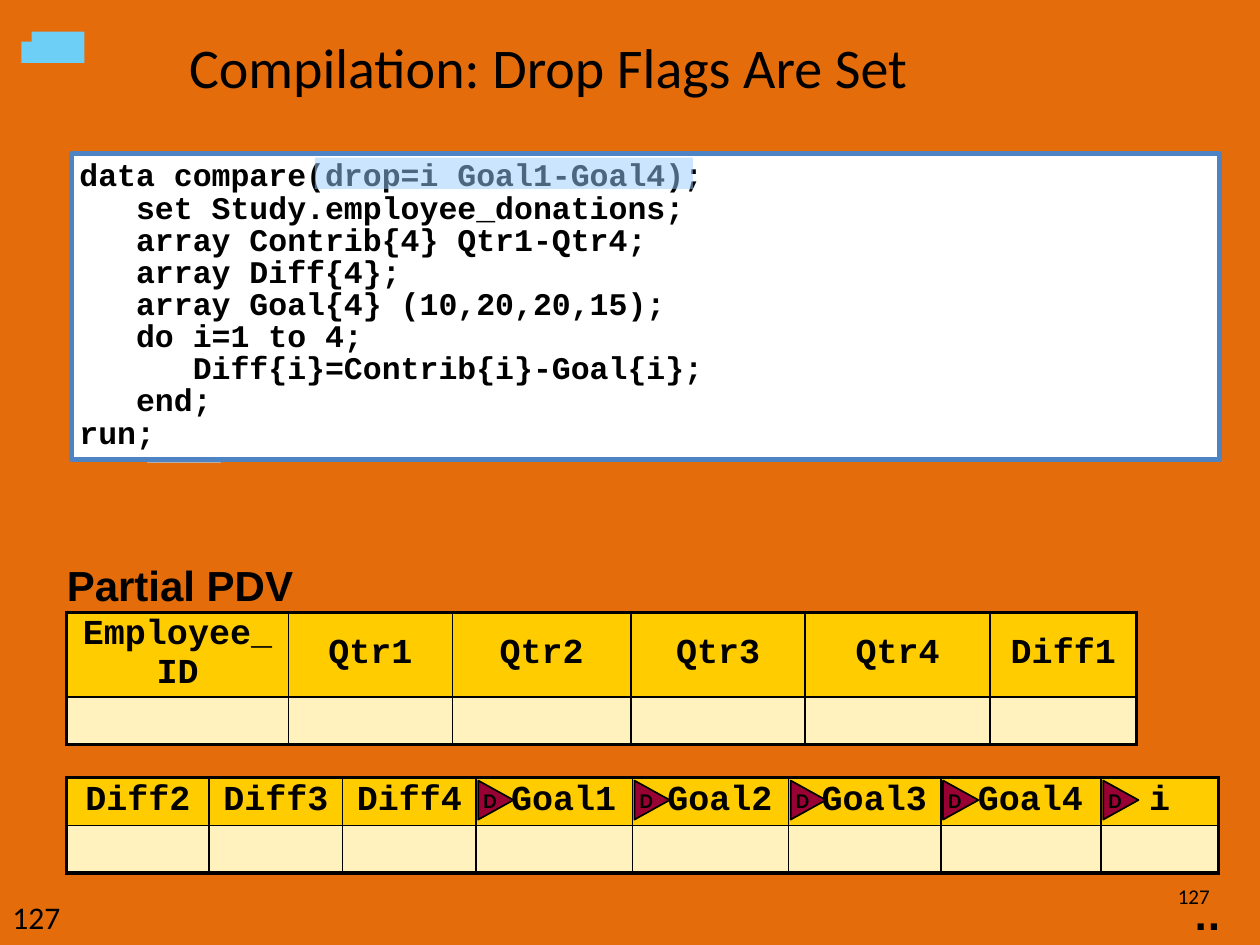
from itertools import accumulate

from lxml.etree import SubElement
from pptx import Presentation
from pptx.dml.color import RGBColor
from pptx.enum.shapes import MSO_SHAPE as Shape
from pptx.enum.text import MSO_ANCHOR as Anchor, PP_ALIGN as Align
from pptx.oxml import parse_xml
from pptx.oxml.ns import nsdecls, qn
from pptx.util import Inches, Pt

rgb = RGBColor.from_string
BLACK, SKY, HEADER, BODY = "000000", "6DCFF6", "FFCC00", "FFF2BE"
THIN, THICK = 1, 2.25

deck = Presentation()
deck.slide_width, deck.slide_height = Inches(10), Inches(7.5)
slide = deck.slides.add_slide(deck.slide_layouts[6])
slide.background.fill.solid()
slide.background.fill.fore_color.rgb = rgb("E46C0A")

# The slide is a grid of 100 columns by 75 rows of square units
UNIT = deck.slide_width / 100


def block(kind, box, fill, line=None, weight=1):
    shape = slide.shapes.add_shape(kind, *(round(n * UNIT) for n in box))
    shape.shadow.inherit = False
    shape.fill.solid()
    shape.fill.fore_color.rgb = rgb(fill)
    if line:
        shape.line.color.rgb = rgb(line)
        shape.line.width = Pt(weight)
    else:
        shape.line.fill.background()
    return shape


def write(frame, lines, font, size, bold=False, align=Align.LEFT, spacing=None):
    for number, line in enumerate(lines):
        paragraph = frame.add_paragraph() if number else frame.paragraphs[0]
        paragraph.alignment = align
        if spacing:
            paragraph.line_spacing = spacing
        run = paragraph.add_run()
        run.text = line
        look = {"name": font, "size": Pt(size), "bold": bold}
        for key, value in look.items():
            setattr(run.font, key, value)
        run.font.color.rgb = rgb(BLACK)


# Corner decoration and the tab that shows under the code panel
for box in [(2.5, 2.5, 4.2, 2.5), (1.7, 3.3, 1.7, 1.7)]:
    block(Shape.RECTANGLE, box, SKY)
block(Shape.RECTANGLE, (11.7, 32.5, 5.8, 4.2), SKY, "B9AFA4")

# Title, page numbers and continuation dots
labels = [
    ((15, 2.5, 92.5, 7.5), "Compilation: Drop Flags Are Set", "Calibri", 32,
     {"margin_left": 0, "margin_right": 0, "margin_top": 0, "margin_bottom": 0},
     {"spacing": Pt(39)}),
    ((89.7, 69.2, 7.3, 3.9), "127", "Calibri", 12,
     {"vertical_anchor": Anchor.MIDDLE}, {"align": Align.RIGHT}),
    ((0, 70.8, 5.8, 4.2), "127", "Calibri", 18, {}, {}),
    ((93.8, 70.6, 5, 4.3), "...", "DejaVu Sans", 20,
     {"word_wrap": False}, {"bold": True}),
]
for box, words, font, size, layout, look in labels:
    frame = slide.shapes.add_textbox(*(round(n * UNIT) for n in box)).text_frame
    for key, value in {"word_wrap": True, **layout}.items():
        setattr(frame, key, value)
    write(frame, [words], font, size, **look)

# Code panel
code = """data compare(drop=i Goal1-Goal4);
   set Study.employee_donations;
   array Contrib{4} Qtr1-Qtr4;
   array Diff{4};
   array Goal{4} (10,20,20,15);
   do i=1 to 4;
      Diff{i}=Contrib{i}-Goal{i};
   end;
run;"""
panel = block(Shape.RECTANGLE, (5.7, 12.2, 91.1, 24.3), "FFFFFF", "4E84C4", 3).text_frame
panel.word_wrap = True
panel.vertical_anchor = Anchor.TOP
for side in ("left", "right", "top", "bottom"):
    setattr(panel, f"margin_{side}", Inches(0.06))
write(panel, code.splitlines(), "Courier New", 18, bold=True, spacing=0.85)

# The two parts of the program data vector: caption row, names, empty values
PDV_LEFT = 5.3
pdv_parts = [
    (44.6, "Partial PDV", (4, 6.7, 3.8),
     {"Employee_ID": 17.6, "Qtr1": 13, "Qtr2": 14.2, "Qtr3": 13.8,
      "Qtr4": 14.7, "Diff1": 11.6}),
    (57.7, "", (4, 3.8, 3.8),
     {"Diff2": 11.3, "Diff3": 10.6, "Diff4": 10.6, "Goal1": 12.4,
      "Goal2": 12.4, "Goal3": 12.1, "Goal4": 12.7, "i": 9.3}),
]
for top, caption, heights, variables in pdv_parts:
    widths = list(variables.values())
    last = len(widths) - 1
    place = (PDV_LEFT, top, sum(widths), sum(heights))
    table = slide.shapes.add_table(
        3, len(widths), *(round(n * UNIT) for n in place)).table
    table.first_row = table.horz_banding = False
    for column, width in zip(table.columns, widths):
        column.width = round(width * UNIT)
    for row, height in zip(table.rows, heights):
        row.height = round(height * UNIT)
    table.cell(0, 0).merge(table.cell(0, last))

    for r in range(3):
        for c, name in enumerate(variables):
            cell = table.cell(r, c)
            cell.vertical_anchor = Anchor.MIDDLE
            cell.margin_top = cell.margin_bottom = 0
            if r == 0:
                cell.margin_left = cell.margin_right = 0
                cell.fill.background()
                edges = {"L": 0, "R": 0, "T": 0, "B": THICK}
                if c == 0 and caption:
                    write(cell.text_frame, [caption], "Arial", 24, bold=True)
            else:
                # Names beside a drop flag sit a little to the right
                cell.margin_left = Inches(0.25 if name.startswith("Goal") else 0.1)
                cell.fill.solid()
                cell.fill.fore_color.rgb = rgb(HEADER if r == 1 else BODY)
                edges = {"L": THIN if c else THICK,
                         "R": THICK if c == last else THIN,
                         "T": THICK if r == 1 else THIN,
                         "B": THIN if r == 1 else THICK}
                if r == 1:
                    write(cell.text_frame, [name], "Courier New", 20, bold=True,
                          align=Align.CENTER)
            properties = cell._tc.get_or_add_tcPr()
            for spot, (edge, weight) in enumerate(edges.items()):
                paint = (f'<a:solidFill><a:srgbClr val="{BLACK}"/></a:solidFill>'
                         if weight else "<a:noFill/>")
                properties.insert(spot, parse_xml(
                    f'<a:ln{edge} {nsdecls("a")} w="{Pt(weight)}">{paint}</a:ln{edge}>'))

# A drop flag at the left edge of each dropped variable
for name, left in zip(variables, accumulate(widths, initial=PDV_LEFT)):
    if name.startswith("Diff"):
        continue
    flag = block(Shape.ISOSCELES_TRIANGLE, (left, 62.1, 3.1, 2.8), "990033", BLACK)
    flag.rotation = 90
    frame = flag.text_frame
    frame.word_wrap = False
    frame.vertical_anchor = Anchor.MIDDLE
    for side in ("left", "right", "top", "bottom"):
        setattr(frame, f"margin_{side}", Inches(0.1))
    # Turn the letter upright inside the rotated flag
    body = frame._txBody.find(qn("a:bodyPr"))
    body.set("vert", "eaVert")
    body.set("rot", str(180 * 60000))
    write(frame, ["D"], "Calibri", 12, bold=True, align=Align.RIGHT)

# Half-transparent highlight over the drop option
highlight = block(Shape.RECTANGLE, (25, 12.5, 30, 2.5), "99CCFF")
tint = highlight._element.spPr.find(qn("a:solidFill")).find(qn("a:srgbClr"))
SubElement(tint, qn("a:alpha")).set("val", "50000")

deck.save("out.pptx")
